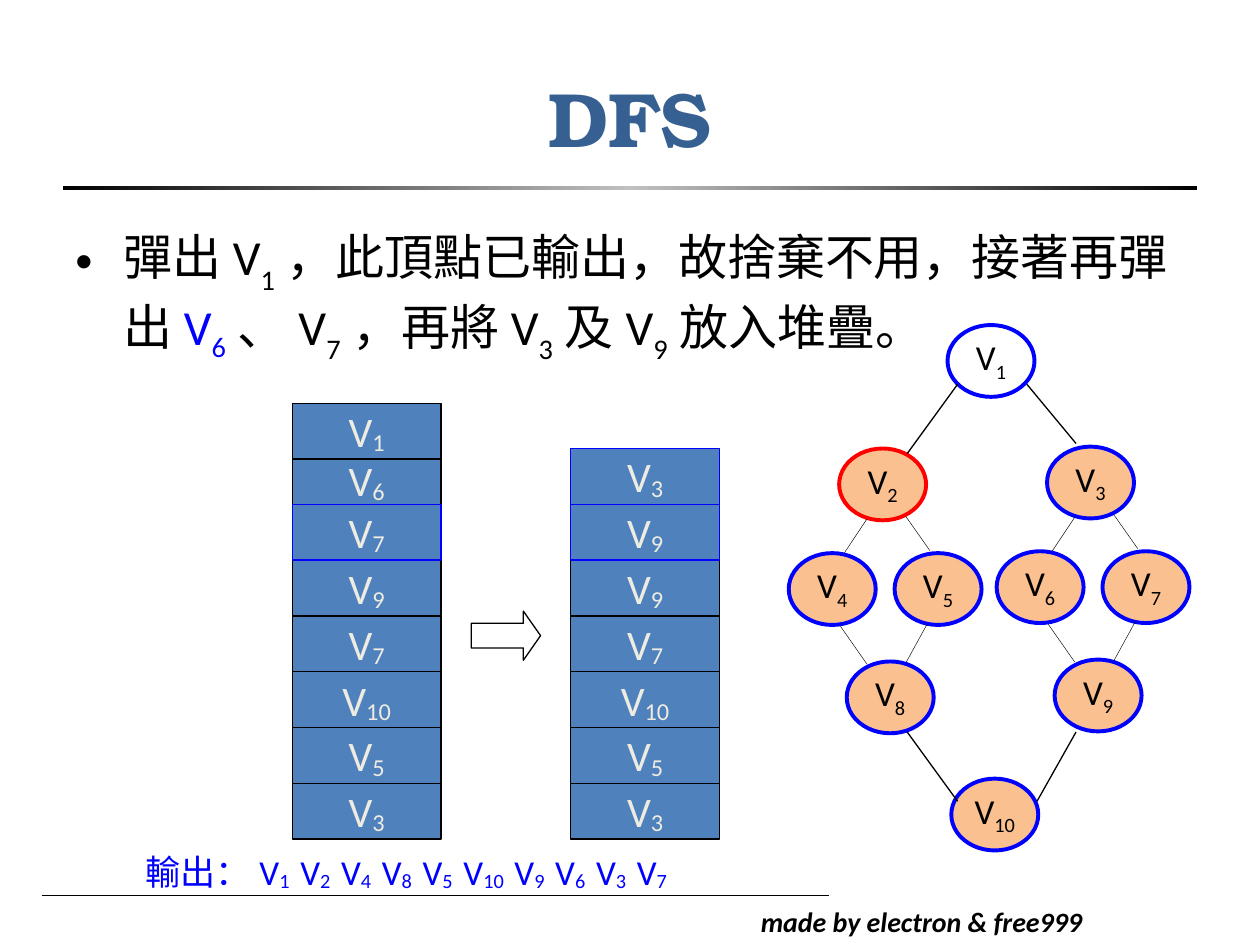
from copy import deepcopy

from lxml.etree import SubElement
from pptx import Presentation
from pptx.dml.color import RGBColor
from pptx.enum.shapes import MSO_CONNECTOR, MSO_SHAPE as Shape
from pptx.enum.text import MSO_ANCHOR as Anchor, PP_ALIGN as Align
from pptx.oxml.ns import qn
from pptx.util import Inches, Pt

BLACK = RGBColor(0x00, 0x00, 0x00)
SILVER = RGBColor(0xC0, 0xC0, 0xC0)
BLUE = RGBColor(0x00, 0x00, 0xFF)
RED = RGBColor(0xFF, 0x00, 0x00)
NAVY = RGBColor(0x37, 0x60, 0x92)
STEEL = RGBColor(0x4F, 0x81, 0xBD)
CREAM = RGBColor(0xEE, 0xEC, 0xE1)
PEACH = RGBColor(0xFA, 0xC0, 0x90)

TITLE = "DFS"
CREDIT = "made by electron & free999"
EXPLANATION = [
    ("彈出V", BLACK, 0), ("1", BLACK, -30),
    ("，此頂點已輸出，故捨棄不用，接著再彈出", BLACK, 0),
    ("V", BLUE, 0), ("6", BLUE, -25),
    ("、V", BLACK, 0), ("7", BLACK, -30),
    ("，再將V", BLACK, 0), ("3", BLACK, -30),
    ("及V", BLACK, 0), ("9", BLACK, -30), ("放入堆疊。", BLACK, 0),
]
OUTPUT_LABEL = "輸出："
OUTPUT = [1, 2, 4, 8, 5, 10, 9, 6, 3, 7]

CELL_W, CELL_H, STACK_BOTTOM = 1.18, 0.443, 6.66
STACKS = [
    (2.32, [3, 5, 10, 7, 9, 7], {5}),
    (4.53, [3, 5, 10, 7, 9, 9, 3], {5, 6}),
]
POPPED = [(6, 3.59), (1, 3.2)]

NODE_W, NODE_H = 0.69, 0.57
BRANCHES = [
    ((6.66, 3.56), [2, 4, 5, 8]),
    ((8.31, 3.545), [3, 6, 7, 9]),
]
BRANCH_NODES = [(0, 0), (-0.4, 0.83), (0.44, 0.83), (0.06, 1.69)]
BRANCH_EDGES = [
    (0.22, 0.56, 0.04, 0.83), (0.53, 0.54, 0.72, 0.81),
    (0.01, 1.41, 0.22, 1.71), (0.7, 1.39, 0.53, 1.7),
]
END_NODES = [(1, 7.52, 2.58, None), (10, 7.55, 6.18, PEACH)]
END_EDGES = [
    (7.6, 3.05, 7.2, 3.6), (7.2, 5.81, 7.6, 6.36),
    (8.15, 3.05, 8.54, 3.52), (8.54, 5.81, 8.23, 6.36),
]


def add_run(paragraph, text, size, color, baseline=0, font="Calibri"):
    run = paragraph.add_run()
    run.text = text
    run.font.size = Pt(size)
    run.font.name = font
    run.font.color.rgb = color
    if baseline:
        run.font._element.set("baseline", str(baseline * 1000))
    return run


def add_vertex(paragraph, number, size, color, baseline):
    add_run(paragraph, "V", size, color)
    add_run(paragraph, str(number), size, color, baseline)


def add_outline(slide, preset, box, fill, line, width):
    shape = slide.shapes.add_shape(preset, *map(Inches, box))
    shape.shadow.inherit = False
    if fill is None:
        shape.fill.background()
    else:
        shape.fill.solid()
        shape.fill.fore_color.rgb = fill
    shape.line.color.rgb = line
    shape.line.width = Pt(width)
    return shape


def add_line(slide, ends, width):
    line = slide.shapes.add_connector(MSO_CONNECTOR.STRAIGHT, *map(Inches, ends))
    line.line.color.rgb = BLACK
    line.line.width = Pt(width)
    SubElement(line._element.spPr, qn("a:effectLst"))


def add_text(slide, box):
    frame = slide.shapes.add_textbox(*map(Inches, box)).text_frame
    frame.word_wrap = True
    return frame.paragraphs[0]


def add_cell(slide, number, left, top, line=BLACK):
    cell = add_outline(slide, Shape.RECTANGLE, (left, top, CELL_W, CELL_H), STEEL, line, 0.75)
    frame = cell.text_frame
    frame.word_wrap = False
    frame.vertical_anchor = Anchor.MIDDLE
    frame.paragraphs[0].alignment = Align.CENTER
    add_vertex(frame.paragraphs[0], number, 24, CREAM, -10)


def add_node(slide, number, left, top, fill=PEACH, line=BLUE):
    node = add_outline(slide, Shape.OVAL, (left, top, NODE_W, NODE_H), fill, line, 2.25)
    frame = node.text_frame
    frame.margin_left = frame.margin_right = frame.margin_top = frame.margin_bottom = 0
    frame.vertical_anchor = Anchor.TOP
    paragraph = frame.paragraphs[0]
    paragraph.alignment = Align.CENTER
    paragraph.line_spacing = 0.96
    add_vertex(paragraph, number, 20, BLACK, -25)


def add_frame(slide):
    add_line(slide, (0.33, 7.11, 6.58, 7.11), 0.5)
    credit = add_run(add_text(slide, (5.94, 7.13, 3.07, 0.37)), CREDIT, 16, BLACK)
    credit.font.bold = credit.font.italic = True

    rule = add_outline(slide, Shape.RECTANGLE, (0.5, 1.48, 9, 0.03), None, BLACK, 0)
    rule.line.fill.background()
    rule.fill.gradient()
    rule.fill.gradient_angle = 0
    stop_list = rule._element.spPr.find(".//" + qn("a:gsLst"))
    stop_list.append(deepcopy(stop_list[0]))
    for stop, color, position in zip(rule.fill.gradient_stops, (BLACK, SILVER, BLACK), (0, 0.5, 1)):
        stop.color.rgb = color
        stop.position = position

    title = slide.shapes.title
    title.left, title.top, title.width, title.height = map(Inches, (0.5, 0.3, 9, 1.25))
    title.text_frame.vertical_anchor = Anchor.MIDDLE
    heading = title.text_frame.paragraphs[0]
    heading.alignment = Align.CENTER
    add_run(heading, TITLE, 44, NAVY, font="TeX Gyre Bonum").font.bold = True


def add_explanation(slide):
    paragraph = add_text(slide, (0.5, 1.75, 9, 4.95))
    paragraph.space_before = Pt(5.6)
    properties = paragraph._p.get_or_add_pPr()
    properties.set("marL", str(Inches(0.38)))
    properties.set("indent", str(Inches(-0.38)))
    SubElement(properties, qn("a:buFont"), typeface="Arial")
    SubElement(properties, qn("a:buChar"), char="•")
    for text, color, baseline in EXPLANATION:
        add_run(paragraph, text, 28, color, baseline)


def add_graph(slide):
    for number, left, top, fill in END_NODES:
        add_node(slide, number, left, top, fill)
    for (x, y), numbers in BRANCHES:
        for number, (dx, dy) in zip(numbers, BRANCH_NODES):
            add_node(slide, number, x + dx, y + dy, line=RED if number == 2 else BLUE)
        for x1, y1, x2, y2 in BRANCH_EDGES:
            add_line(slide, (x + x1, y + y1, x + x2, y + y2), 0.25)
    for edge in END_EDGES:
        add_line(slide, edge, 0.75)


def add_stacks(slide):
    for number, top in POPPED:
        add_cell(slide, number, STACKS[0][0], top)
    for left, numbers, pushed in STACKS:
        for level, number in enumerate(numbers):
            top = STACK_BOTTOM - (level + 1) * CELL_H
            add_cell(slide, number, left, top, BLUE if level in pushed else BLACK)
    arrow = add_outline(slide, Shape.RIGHT_ARROW, (3.74, 4.85, 0.55, 0.39), None, BLACK, 0.75)
    arrow.adjustments[0], arrow.adjustments[1] = 0.5, 0.35


def add_output(slide):
    paragraph = add_text(slide, (1.06, 6.7, 4.8, 0.43))
    add_run(paragraph, OUTPUT_LABEL, 20, BLUE)
    for index, number in enumerate(OUTPUT):
        if index:
            add_run(paragraph, " ", 20, BLUE).font._element.set("spc", "150")
        add_vertex(paragraph, number, 20, BLUE, -10)


def main():
    """Build the depth-first search slide with its stacks and graph."""
    deck = Presentation()
    deck.slide_width, deck.slide_height = Inches(10), Inches(7.5)
    slide = deck.slides.add_slide(deck.slide_layouts[5])
    for add_part in (add_frame, add_explanation, add_graph, add_stacks, add_output):
        add_part(slide)
    deck.save("out.pptx")


if __name__ == "__main__":
    main()
